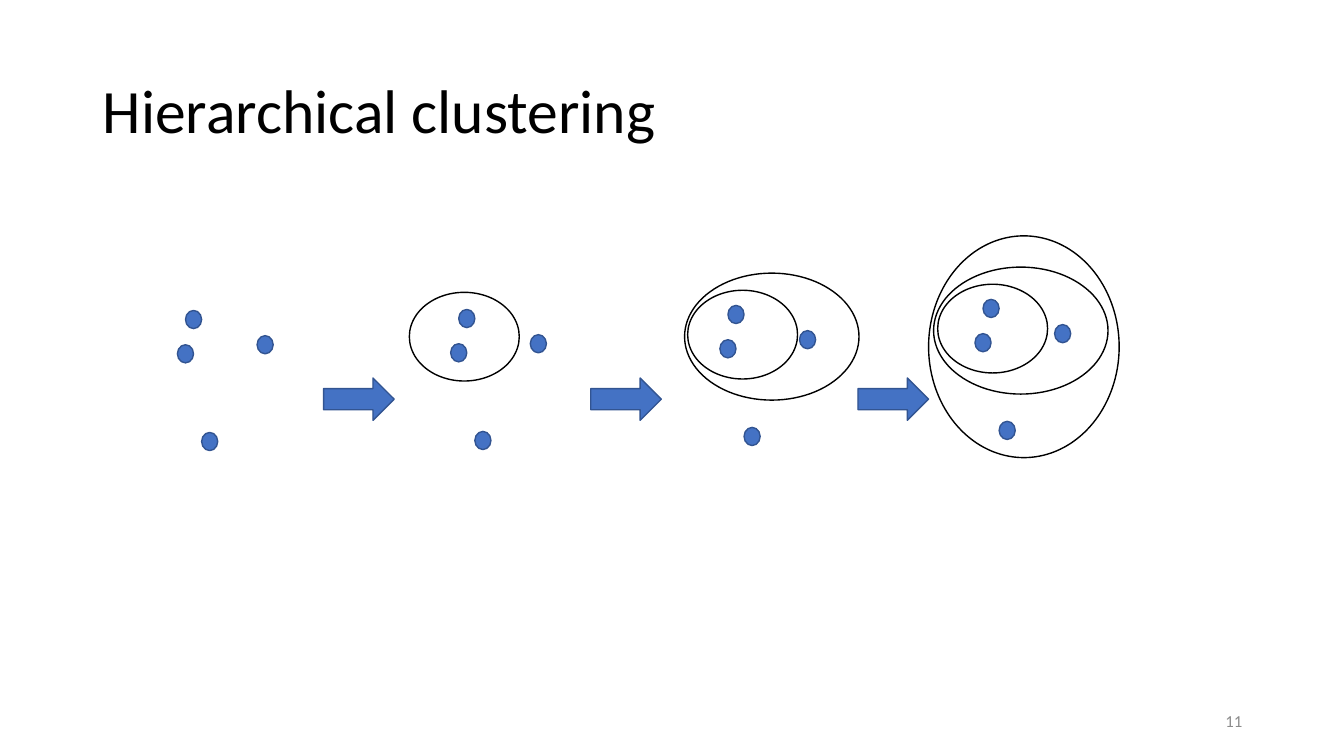
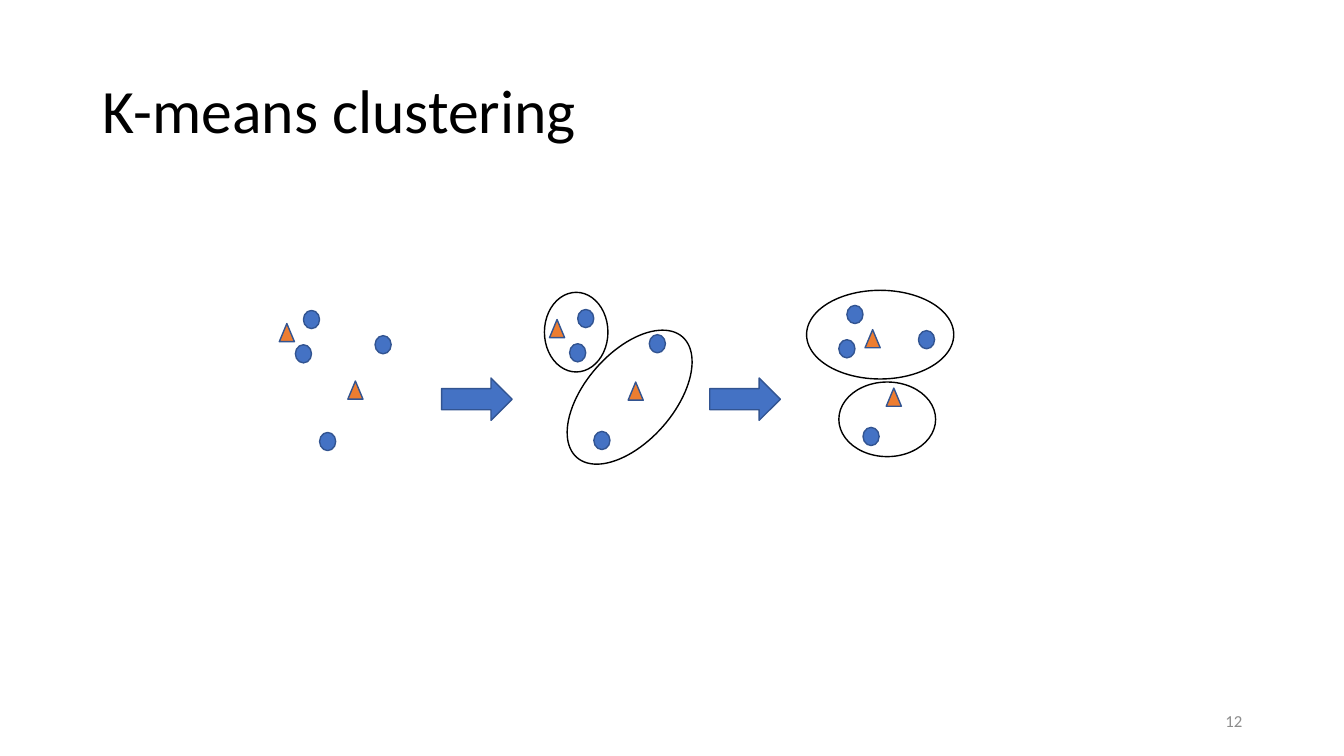
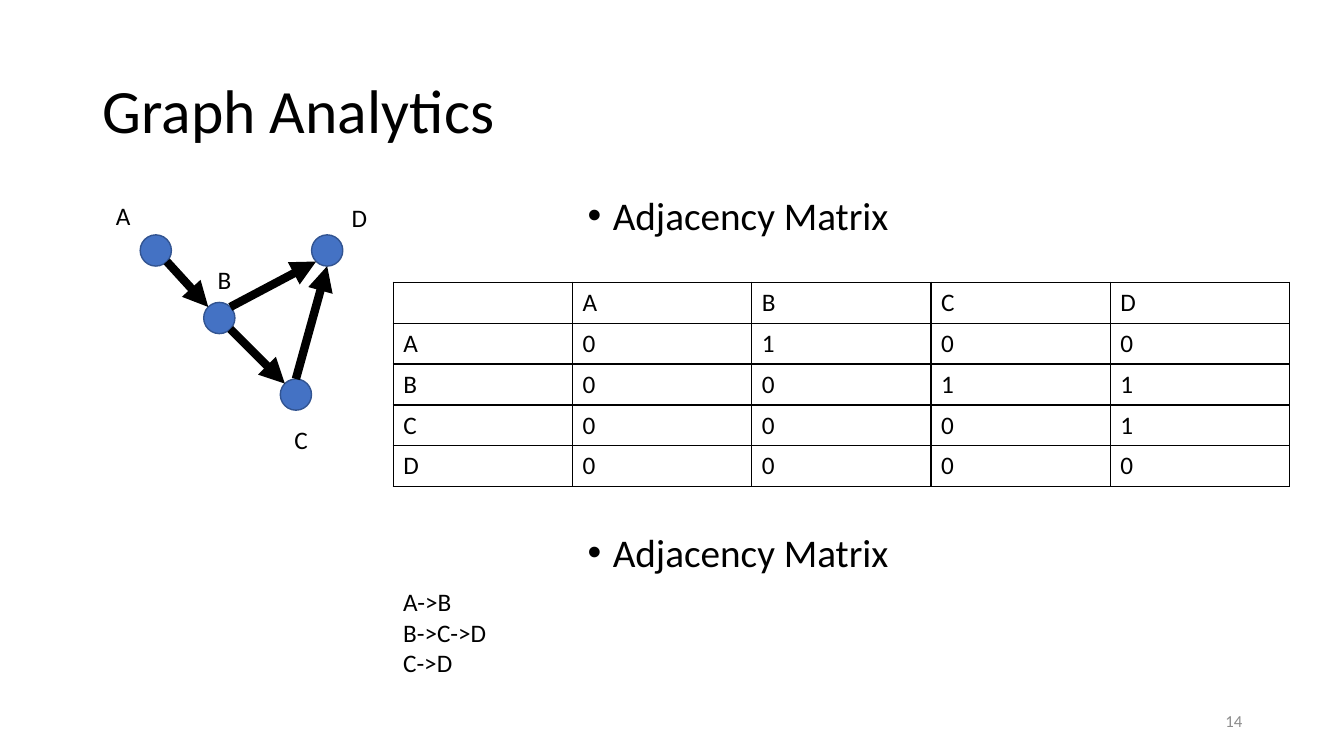
"""Build three slides on hierarchical clustering, k-means and graph analytics."""
import math

import lxml.etree
import pptx
import pptx.dml.color
import pptx.enum.shapes
import pptx.enum.text
import pptx.oxml.ns
import pptx.util

Inches = pptx.util.Inches
Pt = pptx.util.Pt
RGB = pptx.dml.color.RGBColor
SHAPE = pptx.enum.shapes.MSO_SHAPE
ANCHOR = pptx.enum.text.MSO_ANCHOR
ALIGN = pptx.enum.text.PP_ALIGN
qn = pptx.oxml.ns.qn

FONT = "Calibri"
BLACK = RGB(0x00, 0x00, 0x00)
GRAY = RGB(0x8C, 0x8C, 0x8C)
BLUE = RGB(0x44, 0x72, 0xC4)
EDGE_BLUE = RGB(0x32, 0x54, 0x91)
ORANGE = RGB(0xED, 0x7D, 0x31)

POINT_SIZE = (0.16, 0.18)
POINT_OFFSETS = [(0, 0), (-0.08, 0.34), (0.71, 0.25), (0.16, 1.21)]
CENTROID_SIZE = (0.15, 0.18)
STEP_SIZE = (0.7, 0.42)
STEP_TOP = 3.75

HIERARCHICAL = {
    "title": "Hierarchical clustering",
    "number": 11,
    "stages": [(1.84, 3.08), (4.55, 3.07), (7.22, 3.03), (9.75, 2.97)],
    "steps": [3.21, 5.86, 8.51],
    "clusters": [
        (4.06, 2.9, 1.09, 0.88, 0),
        (6.79, 2.71, 1.73, 1.26, 0),
        (6.82, 2.88, 1.09, 0.88, 0),
        (9.26, 2.65, 1.73, 1.26, 0),
        (9.3, 2.82, 1.09, 0.88, 0),
        (9.21, 2.34, 1.89, 2.2, 0),
    ],
    "centroids": [],
}
K_MEANS = {
    "title": "K-means clustering",
    "number": 12,
    "stages": [(3.01, 3.08), (5.73, 3.07), (8.4, 3.03)],
    "steps": [4.38, 7.04],
    "clusters": [
        (5.4, 2.9, 0.63, 0.79, 0),
        (5.45, 3.5, 1.59, 0.88, 311.2),
        (8, 2.88, 1.46, 0.88, 0),
        (8.32, 3.79, 0.96, 0.74, 0),
    ],
    "centroids": [(2.77, 3.21), (3.45, 3.78), (5.45, 3.17),
                  (6.23, 3.79), (8.58, 3.27), (8.79, 3.85)],
}

NODE_SIZE = 0.31
NODES = {"A": (1.39, 2.33), "B": (2.02, 3), "C": (2.78, 3.76), "D": (3.09, 2.33)}
NODE_LABELS = {"A": (1.05, 1.94), "B": (2.06, 2.57),
               "C": (2.82, 4.16), "D": (3.39, 1.96)}
EDGES = [("A", 45, "B", 225), ("B", 315, "D", 135),
         ("B", 45, "C", 225), ("C", 270, "D", 90)]
LINKS = {"A": "B", "B": "CD", "C": "D", "D": ""}
HEADING = "Adjacency Matrix"
HEADING_TOPS = [1.9, 5.24]
ADJACENCY_LIST = ["A->B", "B->C->D", "C->D"]


def add_titled_slide(deck, title, number):
    slide = deck.slides.add_slide(deck.slide_layouts[5])
    heading = slide.shapes.title
    heading.left, heading.top, heading.width, heading.height = map(
        Inches, (0.92, 0.4, 11.5, 1.45))
    write(heading, [title], 44, anchor=ANCHOR.MIDDLE, spacing=0.9)
    add_text(slide, (9.42, 6.95, 3, 0.4), [str(number)], 12, color=GRAY,
             align=ALIGN.RIGHT, anchor=ANCHOR.MIDDLE)
    return slide


def write(holder, lines, size, color=BLACK, align=ALIGN.LEFT,
          anchor=ANCHOR.TOP, spacing=1.0, wrap=True):
    frame = holder.text_frame
    frame.text = "\n".join(lines)
    frame.word_wrap = wrap
    frame.auto_size = pptx.enum.text.MSO_AUTO_SIZE.NONE
    frame.vertical_anchor = anchor
    for paragraph in frame.paragraphs:
        paragraph.alignment = align
        paragraph.line_spacing = spacing
        paragraph.font.name = FONT
        paragraph.font.size = Pt(size)
        paragraph.font.color.rgb = color


def add_text(slide, box, lines, size, **style):
    holder = slide.shapes.add_textbox(*map(Inches, box))
    write(holder, lines, size, **style)
    return holder


def add_bullet(slide, top):
    paragraph = add_text(slide, (5.73, top, 6.9, 0.65), [HEADING], 28,
                         spacing=0.9).text_frame.paragraphs[0]
    paragraph.space_before = Pt(10)
    properties = paragraph._p.get_or_add_pPr()
    properties.set("marL", str(Inches(0.25)))
    properties.set("indent", str(Inches(-0.25)))
    lxml.etree.SubElement(properties, qn("a:buFont"), typeface="Arial")
    lxml.etree.SubElement(properties, qn("a:buChar"), char="•")


def add_figure(slide, kind, box, fill=None, line=EDGE_BLUE, rotation=0):
    figure = slide.shapes.add_shape(kind, *map(Inches, box))
    figure.shadow.inherit = False
    figure.rotation = rotation
    if fill is None:
        figure.fill.background()
    else:
        figure.fill.solid()
        figure.fill.fore_color.rgb = fill
    figure.line.color.rgb = line
    figure.line.width = Pt(1)


def add_clustering_slide(deck, content):
    slide = add_titled_slide(deck, content["title"], content["number"])
    for left, top in content["stages"]:
        for across, down in POINT_OFFSETS:
            add_figure(slide, SHAPE.OVAL,
                       (left + across, top + down, *POINT_SIZE), BLUE)
    for left in content["steps"]:
        add_figure(slide, SHAPE.RIGHT_ARROW, (left, STEP_TOP, *STEP_SIZE), BLUE)
    for *box, rotation in content["clusters"]:
        add_figure(slide, SHAPE.OVAL, box, line=BLACK, rotation=rotation)
    for corner in content["centroids"]:
        add_figure(slide, SHAPE.ISOSCELES_TRIANGLE,
                   (*corner, *CENTROID_SIZE), ORANGE)


def rim_point(node, degrees):
    left, top = NODES[node]
    radius = NODE_SIZE / 2
    angle = math.radians(degrees)
    return (Inches(left + radius + radius * math.cos(angle)),
            Inches(top + radius + radius * math.sin(angle)))


def add_edge(slide, start, start_angle, end, end_angle):
    edge = slide.shapes.add_connector(
        pptx.enum.shapes.MSO_CONNECTOR.STRAIGHT,
        *rim_point(start, start_angle), *rim_point(end, end_angle))
    edge.line.color.rgb = BLACK
    edge.line.width = Pt(6)
    lxml.etree.SubElement(edge.line._get_or_add_ln(), qn("a:tailEnd"),
                          type="triangle")
    lxml.etree.SubElement(edge._element.spPr, qn("a:effectLst"))


def add_borders(cell):
    properties = cell._tc.get_or_add_tcPr()
    for side in ("a:lnL", "a:lnR", "a:lnT", "a:lnB"):
        border = lxml.etree.SubElement(properties, qn(side), w=str(Pt(1)))
        fill = lxml.etree.SubElement(border, qn("a:solidFill"))
        lxml.etree.SubElement(fill, qn("a:srgbClr"), val=str(BLACK))


def add_matrix(slide):
    rows = [["", *LINKS]] + [
        [source] + [str(int(target in targets)) for target in LINKS]
        for source, targets in LINKS.items()]
    matrix = slide.shapes.add_table(
        len(rows), len(rows[0]), *map(Inches, (3.9, 2.8, 8.89, 2.03))).table
    matrix.first_row = matrix.horz_banding = False
    for row, values in enumerate(rows):
        for column, value in enumerate(values):
            cell = matrix.cell(row, column)
            cell.text = value
            add_borders(cell)
            cell.fill.background()
            font = cell.text_frame.paragraphs[0].font
            font.name = FONT
            font.size = Pt(18)
            font.color.rgb = BLACK


def add_graph_slide(deck):
    slide = add_titled_slide(deck, "Graph Analytics", 14)
    for corner in NODES.values():
        add_figure(slide, SHAPE.OVAL, (*corner, NODE_SIZE, NODE_SIZE), BLUE)
    for edge in EDGES:
        add_edge(slide, *edge)
    for name, corner in NODE_LABELS.items():
        add_text(slide, (*corner, 0.35, 0.4), [name], 18, wrap=False)
    add_matrix(slide)
    for top in HEADING_TOPS:
        add_bullet(slide, top)
    add_text(slide, (3.9, 5.77, 1.04, 1.31), ADJACENCY_LIST, 18, wrap=False)


def main():
    deck = pptx.Presentation()
    deck.slide_width, deck.slide_height = Inches(13.33), Inches(7.5)
    for content in (HIERARCHICAL, K_MEANS):
        add_clustering_slide(deck, content)
    add_graph_slide(deck)
    deck.save("out.pptx")


if __name__ == "__main__":
    main()
